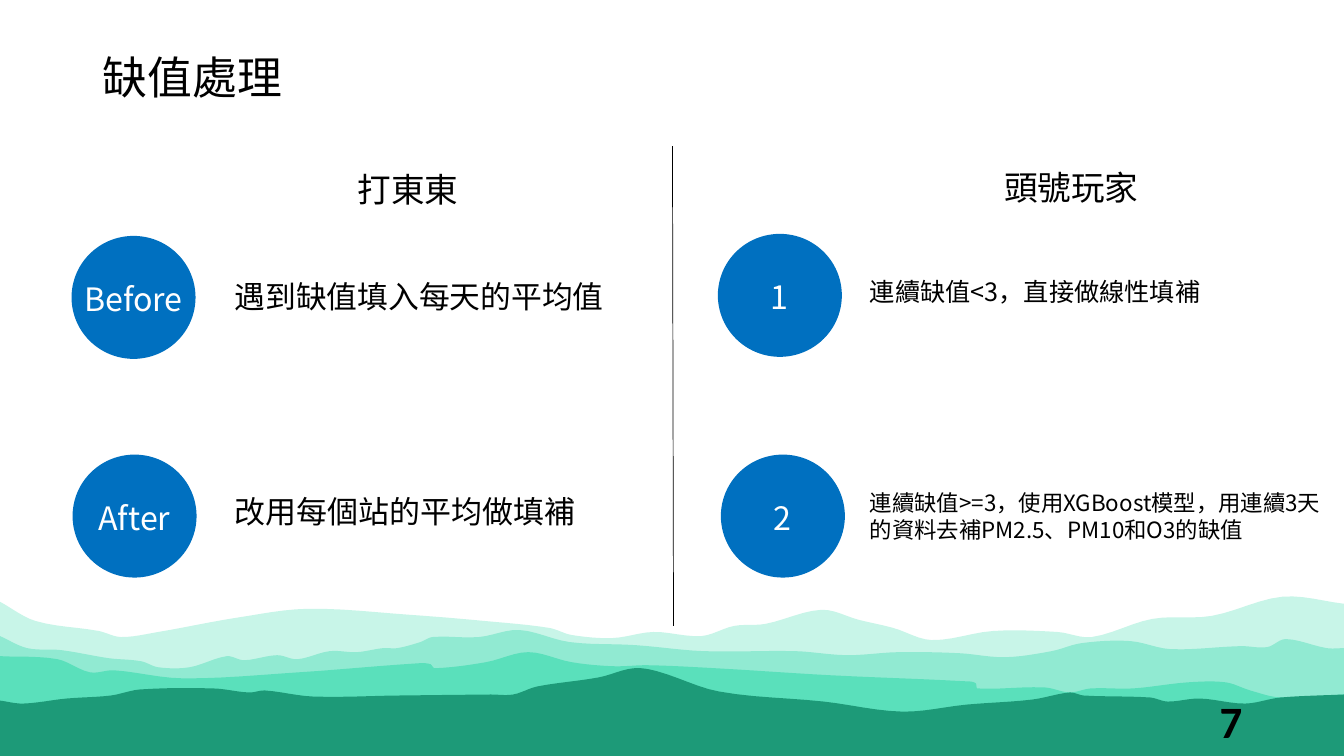
from lxml.etree import SubElement
from pptx import Presentation
from pptx.dml.color import RGBColor
from pptx.enum.shapes import MSO_CONNECTOR, MSO_SHAPE
from pptx.enum.text import MSO_ANCHOR, PP_ALIGN
from pptx.oxml.ns import qn
from pptx.util import Inches, Pt

WIDE, HIGH = 13.33, 7.5
SANS = "Noto Sans CJK SC"
HUES = {"ink": "000000", "white": "FFFFFF", "disc": "0070C0", "mist": "C8F5E8",
        "pale": "91EAD2", "mint": "5AE0BB", "pine": "1D9A78"}

# Ridge lines from back to front: (x, y) in inches
HILLS = {
    "mist": [(0, 5.97), (.35, 6.16), (.98, 6.26), (1.2, 6.32), (1.57, 6.27),
             (2.34, 6.13), (3.05, 6.04), (4.07, 6.1), (4.8, 6.16), (5.45, 6.23),
             (5.67, 6.3), (6.08, 6.33), (6.48, 6.27), (6.96, 6.31), (7.28, 6.21),
             (7.59, 6.19), (8.15, 6.05), (8.52, 6.15), (8.86, 6.23), (9.24, 6.35),
             (9.85, 6.26), (10.49, 6.27), (10.83, 6.32), (11.43, 6.14),
             (12.02, 6.11), (12.72, 5.92), (13.33, 5.99)],
    "pale": [(0, 6.31), (.27, 6.43), (.61, 6.45), (1.08, 6.53), (1.4, 6.56),
             (1.57, 6.62), (1.88, 6.62), (2.25, 6.51), (2.42, 6.55), (2.75, 6.5),
             (2.95, 6.54), (3.27, 6.46), (3.54, 6.47), (3.8, 6.43), (3.94, 6.43),
             (4.17, 6.37), (4.29, 6.32), (4.75, 6.32), (5.15, 6.25), (5.65, 6.37),
             (6.3, 6.4), (6.98, 6.46), (7.89, 6.46), (8.4, 6.5), (8.91, 6.47),
             (9.51, 6.48), (9.97, 6.52), (10.43, 6.46), (10.73, 6.38),
             (11.21, 6.36), (11.61, 6.44), (12.31, 6.41), (12.57, 6.42),
             (12.75, 6.34), (13.16, 6.43), (13.33, 6.43)],
    "mint": [(0, 6.51), (.57, 6.54), (.89, 6.67), (1.13, 6.65), (1.81, 6.73),
             (2.97, 6.67), (4.16, 6.58), (4.27, 6.59), (4.31, 6.63), (4.82, 6.57),
             (5.24, 6.47), (5.67, 6.57), (6.08, 6.61), (6.43, 6.6), (7.1, 6.63),
             (8.25, 6.7), (9.59, 6.76), (9.68, 6.78), (9.69, 6.83), (10.36, 6.82),
             (10.61, 6.87), (10.82, 6.83), (11.24, 6.83), (11.78, 6.77),
             (12.16, 6.77), (12.4, 6.85), (12.7, 6.92), (13.33, 6.89)],
    "pine": [(0, 6.95), (.23, 6.98), (.66, 6.93), (1.1, 6.9), (1.39, 6.84),
             (2.12, 6.83), (2.47, 6.87), (2.63, 6.85), (3.1, 6.91), (3.95, 6.9),
             (4.87, 6.89), (5.09, 6.89), (5.33, 6.81), (5.94, 6.72), (6.28, 6.63),
             (6.52, 6.66), (7.13, 6.86), (8.17, 6.96), (8.95, 7.06), (9.59, 6.99),
             (10.24, 6.94), (10.61, 6.87), (10.75, 6.9), (11.41, 6.92),
             (11.58, 6.96), (11.9, 6.93), (12.35, 6.98), (12.7, 6.92),
             (13.33, 6.89)],
}

# Discs: label, left, top
DISCS = [("Before", .71, 2.34), ("After", .72, 4.51), ("1", 7.12, 2.32), ("2", 7.15, 4.51)]
DISC = (1.23, 1.22)

# Texts: words, box, size, extra format
MID = {"align": PP_ALIGN.CENTER}
TEXTS = [
    ("缺值處理", (.92, .4, 11.5, .78), 32, {"anchor": MSO_ANCHOR.MIDDLE, "line": .9}),
    ("打東東", (3.44, 1.63, 1.21, .5), 24, MID),
    ("頭號玩家", (9.85, 1.61, 1.55, .5), 24, MID),
    ("遇到缺值填入每天的平均值", (2.23, 2.75, 3.97, .4), 22, {"line": .9}),
    ("改用每個站的平均做填補", (2.23, 4.94, 3.62, .36), 22.1, {"line": .7}),
    ("連續缺值<3，直接做線性填補", (8.53, 2.69, 3.56, .4), 18, {}),
    ("連續缺值>=3，使用XGBoost模型，用連續3天的資料去補PM2.5、PM10和O3的缺值",
     (8.53, 4.8, 4.73, .64), 16, {}),
    ("7", (9.42, 6.95, 3, .4), 32, {"anchor": MSO_ANCHOR.MIDDLE, "face": "Calibri",
                                    "align": PP_ALIGN.RIGHT, "bold": True}),
]

deck = Presentation()
deck.slide_width, deck.slide_height = Inches(WIDE), Inches(HIGH)
slide = deck.slides.add_slide(deck.slide_layouts[6])
shapes = slide.shapes


def hue(name):
    return RGBColor.from_string(HUES[name])


def paint(shape, name):
    shape.shadow.inherit = False
    shape.fill.solid()
    shape.fill.fore_color.rgb = hue(name)
    shape.line.fill.background()


def curve(pts, steps=6):
    """Smooth a ridge with cubic arcs whose slopes follow the neighbours."""
    last = len(pts) - 1
    tilt = []
    for i in range(last + 1):
        (xa, ya), (xb, yb) = pts[max(i - 1, 0)], pts[min(i + 1, last)]
        tilt.append((yb - ya) / (xb - xa))
    out = [pts[0]]
    for i in range(last):
        (xa, ya), (xb, yb) = pts[i], pts[i + 1]
        gap = xb - xa
        for k in range(1, steps + 1):
            t = k / steps
            ease = t * t * (3 - 2 * t)
            bend = gap * t * (1 - t) * (tilt[i] * (1 - t) - tilt[i + 1] * t)
            out.append((xa + gap * t, ya + (yb - ya) * ease + bend))
    return out


def write(words, box, size, form, ink="ink"):
    frame = shapes.add_textbox(*map(Inches, box)).text_frame
    frame.word_wrap = True
    frame.vertical_anchor = form.get("anchor", MSO_ANCHOR.TOP)
    para = frame.paragraphs[0]
    para.alignment = form.get("align", PP_ALIGN.LEFT)
    para.line_spacing = form.get("line", 1.0)
    run = para.add_run()
    run.text = words
    face = form.get("face", SANS)
    looks = {"size": Pt(size), "name": face, "bold": form.get("bold", False)}
    for key, val in looks.items():
        setattr(run.font, key, val)
    run.font.color.rgb = hue(ink)
    SubElement(run.font._element, qn("a:ea")).set("typeface", face)


# Hills
for name, ridge in HILLS.items():
    pen = shapes.build_freeform(0, Inches(HIGH), scale=1.0)
    edge = curve(ridge) + [(WIDE, HIGH)]
    pen.add_line_segments([(Inches(x), Inches(y)) for x, y in edge], close=True)
    paint(pen.convert_to_shape(), name)

# Divider
rule = shapes.add_connector(MSO_CONNECTOR.STRAIGHT, *map(Inches, (6.67, 1.45, 6.68, 6.21)))
rule.line.color.rgb = hue("ink")
rule.line.width = Pt(.5)
SubElement(rule._element.spPr, qn("a:effectLst"))

# Discs with labels
for label, left, top in DISCS:
    paint(shapes.add_shape(MSO_SHAPE.OVAL, *map(Inches, (left, top, *DISC))), "disc")
    write(label, (left, top + .38, DISC[0], .49), 23, MID, "white")

# Titles, notes and page number
for words, box, size, form in TEXTS:
    write(words, box, size, form)

deck.save("out.pptx")
